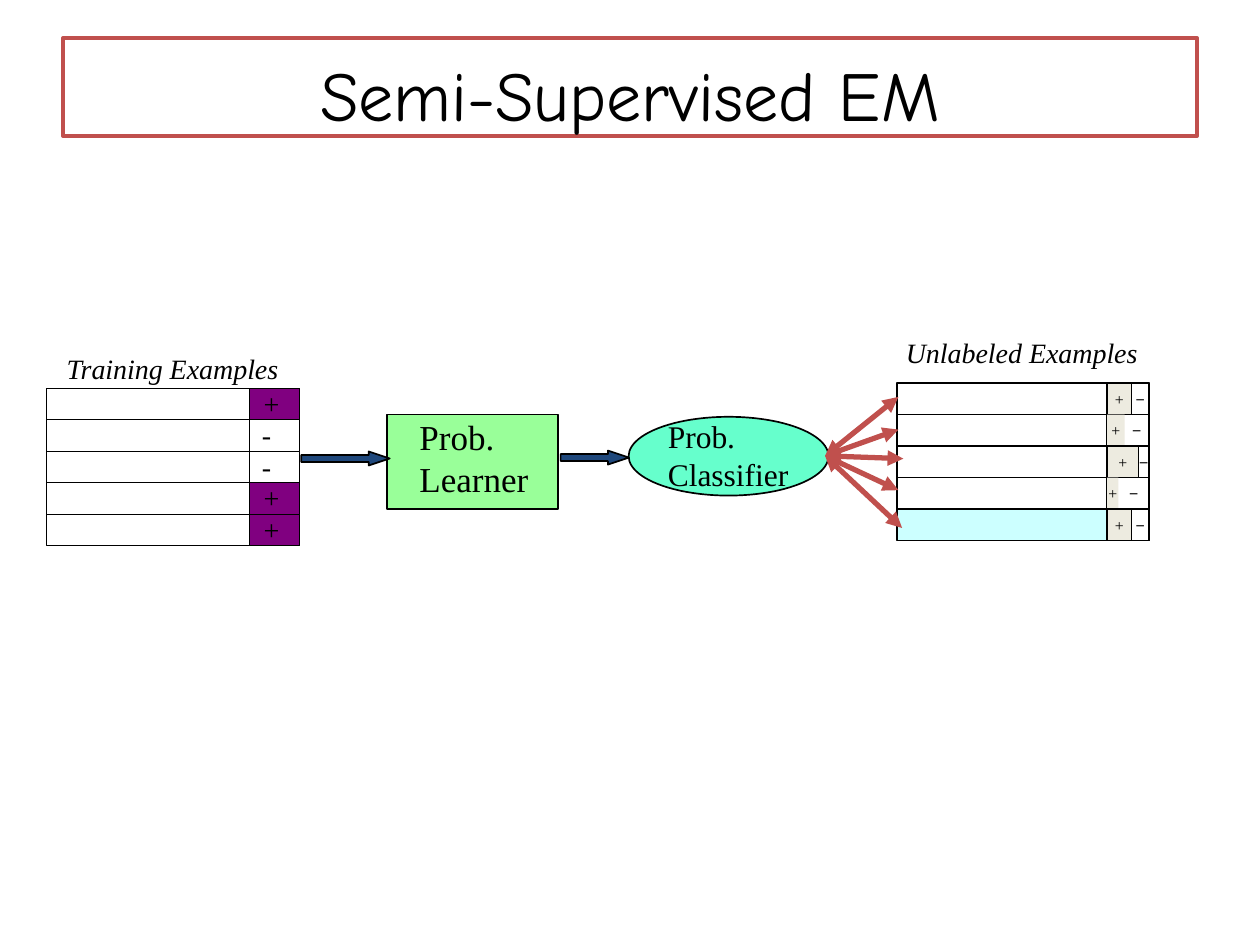
from lxml import etree
from pptx import Presentation
from pptx.dml.color import RGBColor
from pptx.enum import shapes as kinds, text as t
from pptx.oxml.ns import qn
from pptx.util import Pt

COLORS = {"ink": "000000", "white": "FFFFFF", "positive": "800080", "learner": "99FF99",
          "classifier": "66FFCC", "flow": "1F487C", "accent": "C0504D",
          "selected": "CCFFFF", "score": "EDEBE0"}
SERIF, SANS, COMIC = "Times New Roman", "Arial", "Comic Neue"

TITLE = "Semi-Supervised EM"
CAPTIONS = [("Training Examples", 37.4, 199.4), ("Unlabeled Examples", 516.9, 190.1)]
LABELS = ["+", "-", "-", "+", "+"]
# share of the positive score in points, and whether the two scores are framed
SCORES = [(14, True), (10, False), (18, True), (6.5, False), (14, True)]
FLOWS = [(172.1, 258.4, 50.6), (320.4, 257.9, 39)]
HUB = (471.5, 260.5)
SPOKES = [(513.4, 226.8), (513.4, 245.5), (516.2, 262.1), (513.4, 280.1), (515.5, 301.7)]

ROW = 18
TRAINING = {"left": 26.6, "top": 221.9, "width": 144.8, "label": 28.8}
UNLABELED = {"left": 512.6, "top": 218.9, "width": 120, "score": 24}
RECT = kinds.MSO_SHAPE.RECTANGLE


def rgb(key):
    return RGBColor.from_string(COLORS[key])


def write(frame, words, size, font=SERIF, italic=False, align=t.PP_ALIGN.LEFT,
          anchor=t.MSO_ANCHOR.TOP, inset=(0, 0), wrap=True, spacing=None):
    """Fill a frame with one run; inset is (left, top) in points."""
    frame.word_wrap = wrap
    frame.auto_size = t.MSO_AUTO_SIZE.NONE
    frame.vertical_anchor = anchor
    frame.margin_left, frame.margin_top = Pt(inset[0]), Pt(inset[1])
    frame.margin_right = frame.margin_bottom = 0
    paragraph = frame.paragraphs[0]
    paragraph.alignment = align
    if spacing:
        paragraph.line_spacing = Pt(spacing)
    run = paragraph.add_run()
    run.text = words
    run.font.size, run.font.name, run.font.italic = Pt(size), font, italic
    run.font.color.rgb = rgb("ink")


def draw(kind, left, top, width, height, fill=None, line=0.72):
    shape = slide.shapes.add_shape(kind, Pt(left), Pt(top), Pt(width), Pt(height))
    shape.shadow.inherit = False
    if fill:
        shape.fill.solid()
        shape.fill.fore_color.rgb = rgb(fill)
    else:
        shape.fill.background()
    if line:
        shape.line.color.rgb = rgb("ink")
        shape.line.width = Pt(line)
    else:
        shape.line.fill.background()
    return shape


def add_text(words, left, top, width, height, size, **style):
    box = slide.shapes.add_textbox(Pt(left), Pt(top), Pt(width), Pt(height))
    write(box.text_frame, words, size, **style)


def add_double_arrow(start, end):
    arrow = slide.shapes.add_connector(kinds.MSO_CONNECTOR.STRAIGHT, *map(Pt, start + end))
    arrow.line.color.rgb = rgb("accent")
    arrow.line.width = Pt(3)
    line = arrow.line._get_or_add_ln()
    for tip in ("a:headEnd", "a:tailEnd"):
        etree.SubElement(line, qn(tip), type="triangle", w="med", len="med")
    etree.SubElement(arrow._element.spPr, qn("a:effectLst"))


def add_title():
    title = slide.shapes.title
    title.left, title.top, title.width, title.height = Pt(36), Pt(21.6), Pt(648), Pt(56.2)
    title.line.color.rgb = rgb("accent")
    title.line.width = Pt(2.04)
    write(title.text_frame, TITLE, 40, COMIC, align=t.PP_ALIGN.CENTER, inset=(0, 8))


def add_training_rows():
    left, top, width, label_width = TRAINING.values()
    for i, label in enumerate(LABELS):
        y = top + i * ROW
        draw(RECT, left, y, width, ROW)
        cell = draw(RECT, left + width - label_width, y, label_width, ROW,
                    "positive" if label == "+" else "white")
        write(cell.text_frame, label, 16, italic=True, inset=(7.2, 0), spacing=18)


def add_unlabeled_rows():
    left, top, width, score_width = UNLABELED.values()
    score_left = left + width
    for i, (positive, framed) in enumerate(SCORES):
        y = top + i * ROW
        draw(RECT, left, y, width, ROW, "selected" if i == len(SCORES) - 1 else None)
        draw(RECT, score_left, y, score_width, ROW)
        parts = [("+", SERIF, score_left, positive, "score"),
                 ("−", SANS, score_left + positive, score_width - positive, None)]
        for sign, font, x, part_width, fill in parts:
            part = draw(RECT, x, y, part_width, ROW, fill, 0.96 if framed else 0)
            write(part.text_frame, sign, 9, font, align=t.PP_ALIGN.CENTER,
                  anchor=t.MSO_ANCHOR.MIDDLE, wrap=False)


def add_flows():
    for left, middle, width in FLOWS:
        arrow = draw(kinds.MSO_SHAPE.RIGHT_ARROW, left, middle + 3.6 - 4, width, 8,
                     "flow", 0.96)
        arrow.adjustments[0], arrow.adjustments[1] = 0.5, 1.5


prs = Presentation()
prs.slide_width, prs.slide_height = Pt(720), Pt(540)
slide = prs.slides.add_slide(prs.slide_layouts[5])

add_title()
for caption, left, top in CAPTIONS:
    add_text(caption, left, top, 140, 20.9, 16, italic=True, inset=(0.7, 1.6))
add_training_rows()
add_unlabeled_rows()
learner = draw(RECT, 221, 236.9, 97.9, 54, "learner", 0.96)
write(learner.text_frame, "Prob. Learner", 20, inset=(18.7, 0.3))
draw(kinds.MSO_SHAPE.OVAL, 359.2, 238.2, 114.2, 45, "classifier", 0.96)
add_text("Prob. Classifier", 380.9, 236.9, 73, 45.4, 18, inset=(0.7, 1.7))
add_flows()
for spoke in SPOKES:
    add_double_arrow(HUB, spoke)

prs.save("out.pptx")
